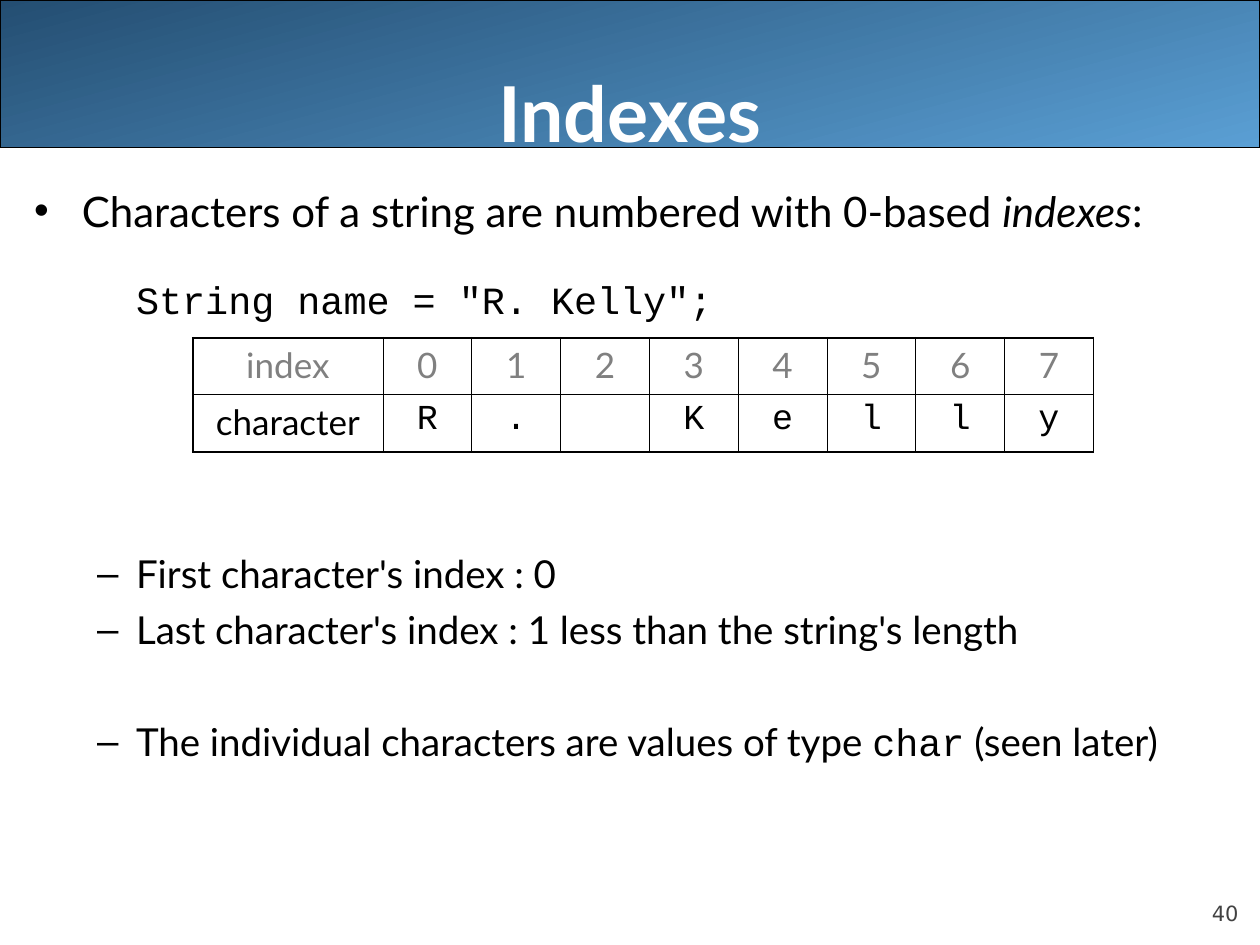
import pptx
import pptx.dml.color
import pptx.enum.shapes
import pptx.enum.text
import pptx.oxml
import pptx.oxml.ns
import pptx.util

W, H = 10, 7.5
COLORS = {"dark": "244E72", "light": "5A9FD4", "text": "000000",
          "title": "FFFFFF", "index": "808080", "number": "424242"}
SANS, MONO = "Lato", "Courier New"
THIN, THICK = 0.45, 1.08
ALIGN = pptx.enum.text.PP_ALIGN
ANCHOR = pptx.enum.text.MSO_ANCHOR


def rgb(name):
    return pptx.dml.color.RGBColor.from_string(COLORS[name])


def inches(*lengths):
    return [pptx.util.Inches(n) for n in lengths]


def place(s, *box):
    s.left, s.top, s.width, s.height = inches(*box)


def add_text(p, text, size=22, font=SANS, color="text", bold=False,
             italic=False, align=None):
    r = p.add_run()
    r.text = text
    r.font.size = pptx.util.Pt(size)
    r.font.name = font
    r.font.color.rgb = rgb(color)
    r.font.bold = bold
    r.font.italic = italic
    if align is not None:
        p.alignment = align


def setup_frame(tf, anchor, *insets):
    tf.word_wrap = True
    tf.auto_size = pptx.enum.text.MSO_AUTO_SIZE.NONE
    tf.vertical_anchor = anchor
    (tf.margin_left, tf.margin_top,
     tf.margin_right, tf.margin_bottom) = inches(*insets)


def add_band(slide):
    s = slide.shapes.add_shape(
        pptx.enum.shapes.MSO_SHAPE.ROUNDED_RECTANGLE, *inches(0, 0, W, 1.17))
    s.adjustments[0] = 0
    s.shadow.inherit = False
    s.fill.gradient()
    s.fill.gradient_angle = 360 - 75
    for stop, position, color in zip(s.fill.gradient_stops, (0, 1), ("dark", "light")):
        stop.position = position
        stop.color.rgb = rgb(color)
    s.line.color.rgb = rgb("text")
    s.line.width = pptx.util.Pt(0.75)
    slide.shapes._spTree.insert(2, s._element)


def add_title(slide, text):
    s = slide.shapes.title
    place(s, 0.05 * W, 0, 0.9 * W, 1.25)
    setup_frame(s.text_frame, ANCHOR.BOTTOM, 0, 0.05, 0, 0)
    add_text(s.text_frame.paragraphs[0], text, size=44, color="title",
             bold=True, align=ALIGN.CENTER)


def add_item(p, runs, level=1, margin=0.81, hang=0.31, before=5.5, bullet=True):
    """Fill a list paragraph with (text, format) runs."""
    p.level = level
    p.space_before = pptx.util.Pt(before)
    pPr = p._p.get_or_add_pPr()
    pPr.set("marL", str(pptx.util.Inches(margin)))
    pPr.set("indent", str(-pptx.util.Inches(hang)))
    if not bullet:
        pPr.append(pptx.oxml.parse_xml(
            f"<a:buNone {pptx.oxml.ns.nsdecls('a')}/>"))
    for text, style in runs:
        add_text(p, text, **style)


def add_body(slide):
    big = {"size": 24}
    items = [
        ([("Characters of a string are numbered with 0-based ", big),
          ("indexes", {"size": 24, "italic": True}), (":", big)],
         {"level": 0, "margin": 0.38, "hang": 0.38, "before": 6}),
        ([('String name = "R. Kelly";', {"font": MONO})],
         {"hang": 0, "before": 23, "bullet": False}),
        ([("First character's index : 0", {})], {"before": 130.5}),
        ([("Last character's index : 1 less than the string's length", {})], {}),
        ([("The individual characters are values of type ", {}),
          ("char", {"font": MONO}), (" (seen later)", {})], {"before": 37.4}),
    ]
    s = slide.placeholders[1]
    place(s, 0.17, 1.42, W - 0.17, 5.67)
    tf = s.text_frame
    setup_frame(tf, ANCHOR.TOP, 0.1, 0.05, 0.1, 0.05)
    for i, (runs, layout) in enumerate(items):
        add_item(tf.add_paragraph() if i else tf.paragraphs[0], runs, **layout)


def set_borders(cell, **widths):
    """Draw the cell's sides; keywords L, R, T and B give widths in points."""
    tcPr = cell._tc.get_or_add_tcPr()
    for side, width in widths.items():
        tcPr.append(pptx.oxml.parse_xml(
            f'<a:ln{side} {pptx.oxml.ns.nsdecls("a")} w="{pptx.util.Pt(width)}">'
            f'<a:solidFill><a:srgbClr val="{COLORS["text"]}"/></a:solidFill>'
            f'</a:ln{side}>'))


def add_index_table(slide, name):
    rows = [["index", *map(str, range(len(name)))], ["character", *name]]
    last = len(name)
    table = slide.shapes.add_table(
        len(rows), last + 1, *inches(1.53, 2.68, 7.15, 0.91)).table
    table.first_row = table.horz_banding = False
    for c, column in enumerate(table.columns):
        column.width = pptx.util.Inches(0.705 if c else 1.51)
    for row, height in zip(table.rows, inches(0.45, 0.46)):
        row.height = height
    for i, texts in enumerate(rows):
        for c, text in enumerate(texts):
            cell = table.cell(i, c)
            set_borders(cell, L=THIN if c else THICK,
                        R=THICK if c == last else THIN,
                        T=THIN if i else THICK, B=THICK if i else THIN)
            cell.fill.background()
            if text.strip():
                add_text(cell.text_frame.paragraphs[0], text, size=20,
                         font=MONO if i and c else SANS,
                         color="text" if i else "index", align=ALIGN.CENTER)


def add_slide_number(slide, number):
    s = slide.shapes.add_textbox(*inches(0.9 * W, 6.95, 0.83, 0.4))
    setup_frame(s.text_frame, ANCHOR.BOTTOM, 0, 0, 0, 0)
    add_text(s.text_frame.paragraphs[0], str(number), size=12,
             font="DejaVu Sans", color="number", align=ALIGN.RIGHT)


def main():
    prs = pptx.Presentation()
    prs.slide_width, prs.slide_height = inches(W, H)
    slide = prs.slides.add_slide(prs.slide_layouts[1])
    add_band(slide)
    add_title(slide, "Indexes")
    add_body(slide)
    add_index_table(slide, "R. Kelly")
    add_slide_number(slide, 40)
    prs.save("out.pptx")


if __name__ == "__main__":
    main()
